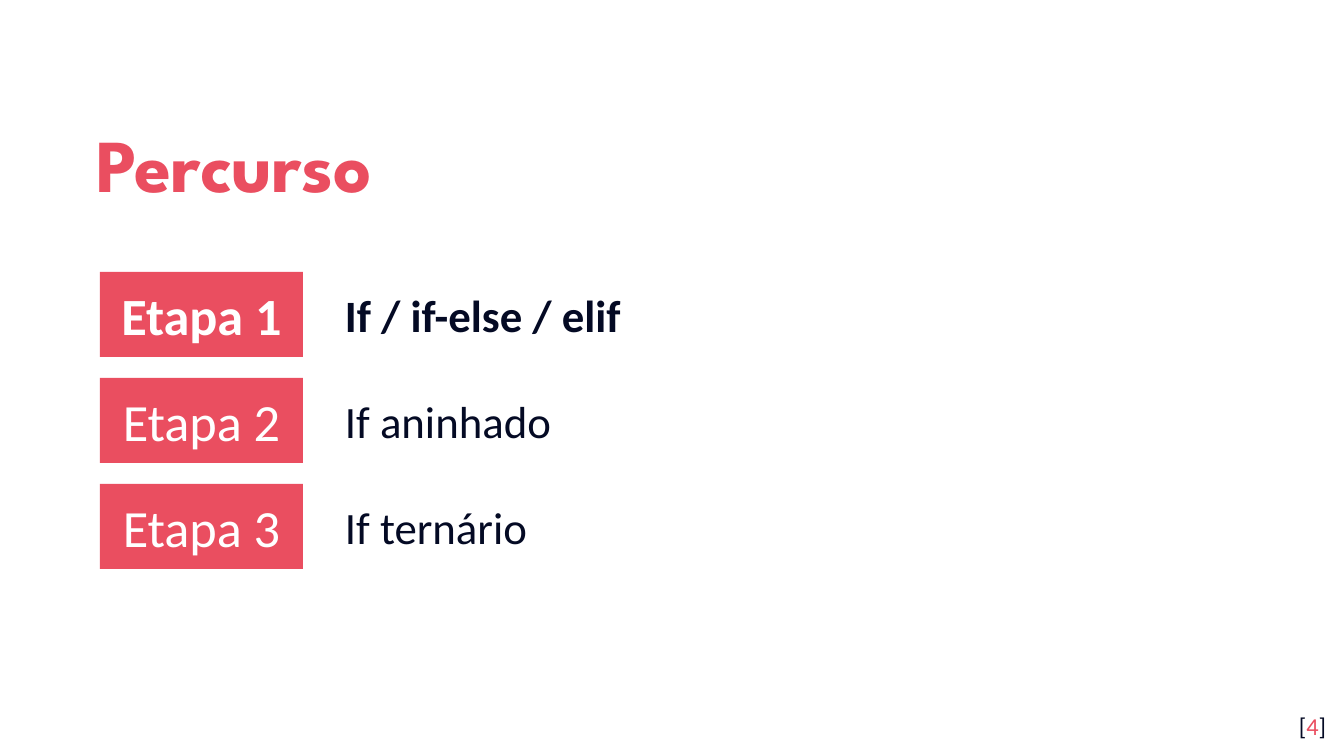
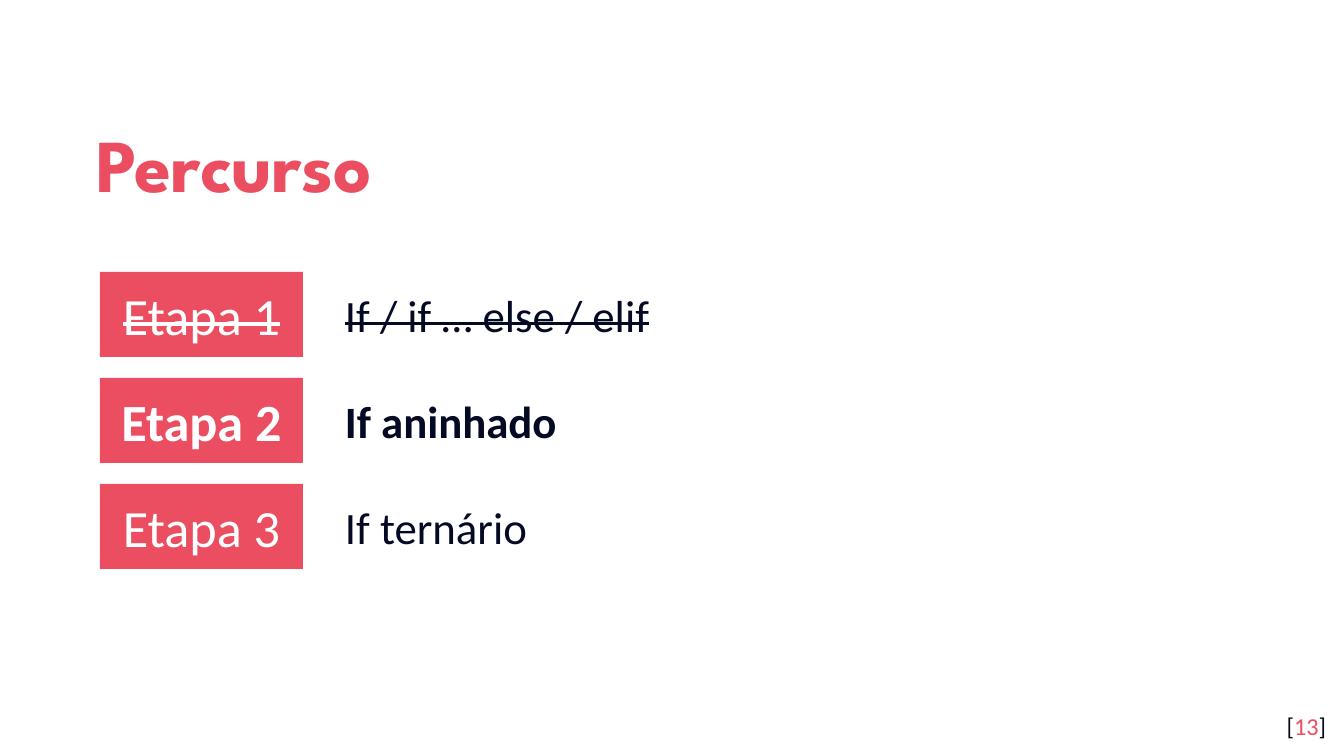
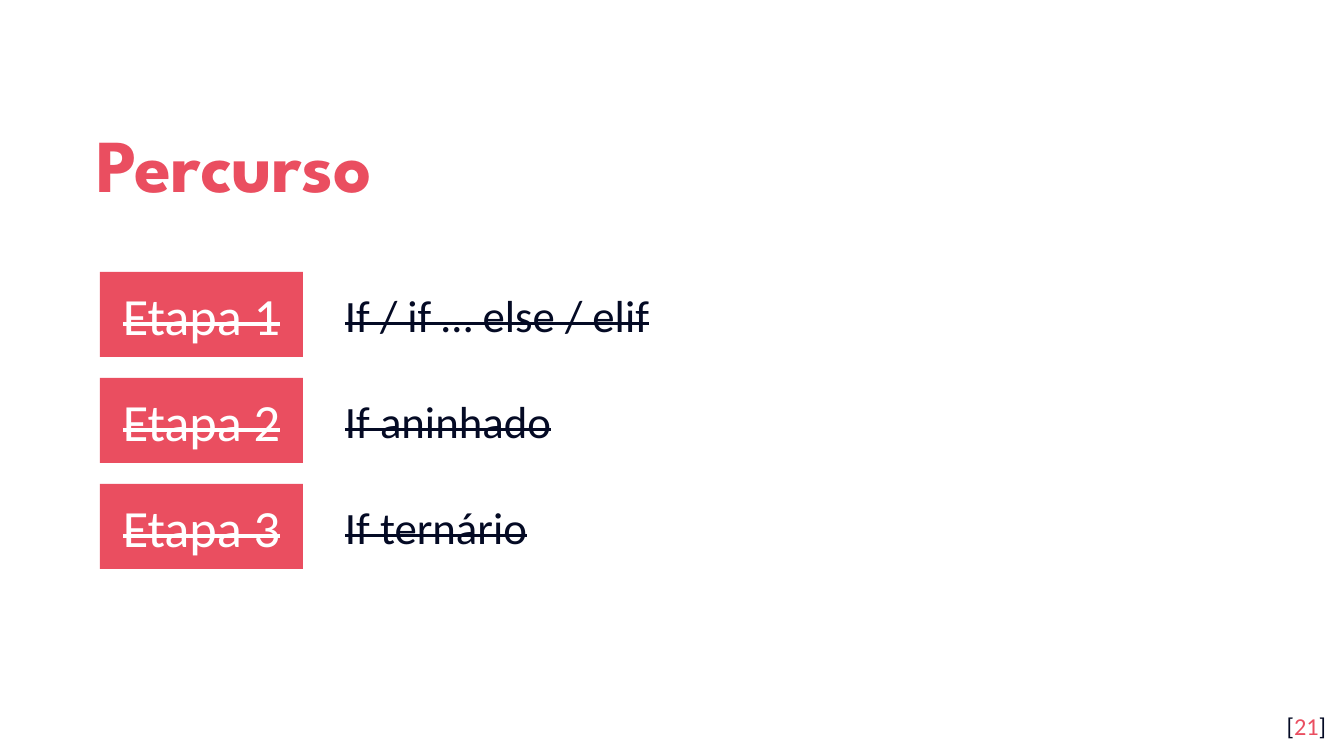
from enum import Enum

from pptx import Presentation
from pptx import util as u
from pptx.dml.color import RGBColor
from pptx.enum import shapes, text

EMU_PER_PX = 914400 / 134.4
SLIDE_SIZE = (1344, 756)

CORAL = RGBColor(0xEA, 0x4E, 0x60)
NAVY = RGBColor(0x04, 0x0A, 0x24)
WHITE = RGBColor(0xFF, 0xFF, 0xFF)

HEADING_FONT = "League Spartan"
BODY_FONT = "Calibri"

TITLE_BOX = (83, 94, 1089, 124)
STEPS_BOX = (100, 272, 1139, 297)
PAGE_BOX = (1258, 698, 81, 58)

BADGE_WIDTH, BADGE_HEIGHT = 203, 85
ROW_GAP = 21
TOPIC_OFFSET = (232, 9)
TOPIC_HEIGHT = 67
INSET, THIN_INSET = 13, 7


class State(Enum):
    PENDING = "pending"
    CURRENT = "current"
    DONE = "done"


STEP_SLIDES = [
    ("4", [("If / if-else / elif", State.CURRENT),
           ("If aninhado", State.PENDING),
           ("If ternário", State.PENDING)]),
    ("13", [("If / if … else / elif", State.DONE),
            ("If aninhado", State.CURRENT),
            ("If ternário", State.PENDING)]),
    ("21", [("If / if … else / elif", State.DONE),
            ("If aninhado", State.DONE),
            ("If ternário", State.DONE)]),
]


def px(length):
    return u.Emu(round(length * EMU_PER_PX))


def place(shape, box):
    for name, length in zip(("left", "top", "width", "height"), box):
        setattr(shape, name, px(length))


def format_frame(shape, anchor=text.MSO_ANCHOR.TOP, vertical_inset=INSET):
    """Set wrapping, anchor and insets, and return the first paragraph."""
    frame = shape.text_frame
    values = {
        "word_wrap": True,
        "auto_size": text.MSO_AUTO_SIZE.NONE,
        "vertical_anchor": anchor,
        "margin_left": px(INSET),
        "margin_right": px(INSET),
        "margin_top": px(vertical_inset),
        "margin_bottom": px(vertical_inset),
    }
    for name, value in values.items():
        setattr(frame, name, value)
    return frame.paragraphs[0]


def add_run(paragraph, words, size, color, name=BODY_FONT, bold=False):
    run = paragraph.add_run()
    run.text = words
    values = {"name": name, "size": u.Pt(size), "bold": bold}
    for attribute, value in values.items():
        setattr(run.font, attribute, value)
    run.font.color.rgb = color
    return run


def add_step_run(paragraph, words, size, color, state):
    """Show the current step in bold and a finished one struck through."""
    run = add_run(paragraph, words, size, color, bold=state is State.CURRENT)
    if state is State.DONE:
        run._r.get_or_add_rPr().set("strike", "sngStrike")


def add_title(slide, box, words):
    title = slide.shapes.title
    place(title, box)
    paragraph = format_frame(title, text.MSO_ANCHOR.MIDDLE)
    paragraph.alignment = text.PP_ALIGN.LEFT
    paragraph.line_spacing = 1.15
    add_run(paragraph, words, 40, CORAL, HEADING_FONT, bold=True)


def add_badge(slide, box, words, state):
    badge = slide.shapes.add_shape(
        shapes.MSO_SHAPE.RECTANGLE, *map(px, box))
    badge.shadow.inherit = False
    badge.fill.solid()
    badge.fill.fore_color.rgb = CORAL
    badge.line.fill.background()
    paragraph = format_frame(badge, text.MSO_ANCHOR.MIDDLE)
    paragraph.alignment = text.PP_ALIGN.CENTER
    add_step_run(paragraph, words, 28, WHITE, state)


def add_topic(slide, box, words, state):
    topic = slide.shapes.add_textbox(*map(px, box))
    paragraph = format_frame(topic, vertical_inset=THIN_INSET)
    add_step_run(paragraph, words, 24, NAVY, state)


def add_steps(slide, box, steps):
    left, top, width, _ = box
    indent, drop = TOPIC_OFFSET
    for index, (topic, state) in enumerate(steps):
        row_top = top + index * (BADGE_HEIGHT + ROW_GAP)
        add_badge(slide, (left, row_top, BADGE_WIDTH, BADGE_HEIGHT),
                  f"Etapa {index + 1}", state)
        add_topic(slide, (left + indent, row_top + drop,
                          width - indent, TOPIC_HEIGHT), topic, state)


def add_page_number(slide, box, number):
    page = slide.shapes.add_textbox(*map(px, box))
    paragraph = format_frame(page)
    paragraph.alignment = text.PP_ALIGN.RIGHT
    for words, color in (("[", NAVY), (number, CORAL), ("]", NAVY)):
        add_run(paragraph, words, 13, color)


def add_step_slide(presentation, number, steps):
    title_only = presentation.slide_layouts.get_by_name("Title Only")
    slide = presentation.slides.add_slide(title_only)
    add_title(slide, TITLE_BOX, "Percurso")
    add_steps(slide, STEPS_BOX, steps)
    add_page_number(slide, PAGE_BOX, number)


def main():
    presentation = Presentation()
    presentation.slide_width, presentation.slide_height = map(px, SLIDE_SIZE)
    for number, steps in STEP_SLIDES:
        add_step_slide(presentation, number, steps)
    presentation.save("out.pptx")


if __name__ == "__main__":
    main()
